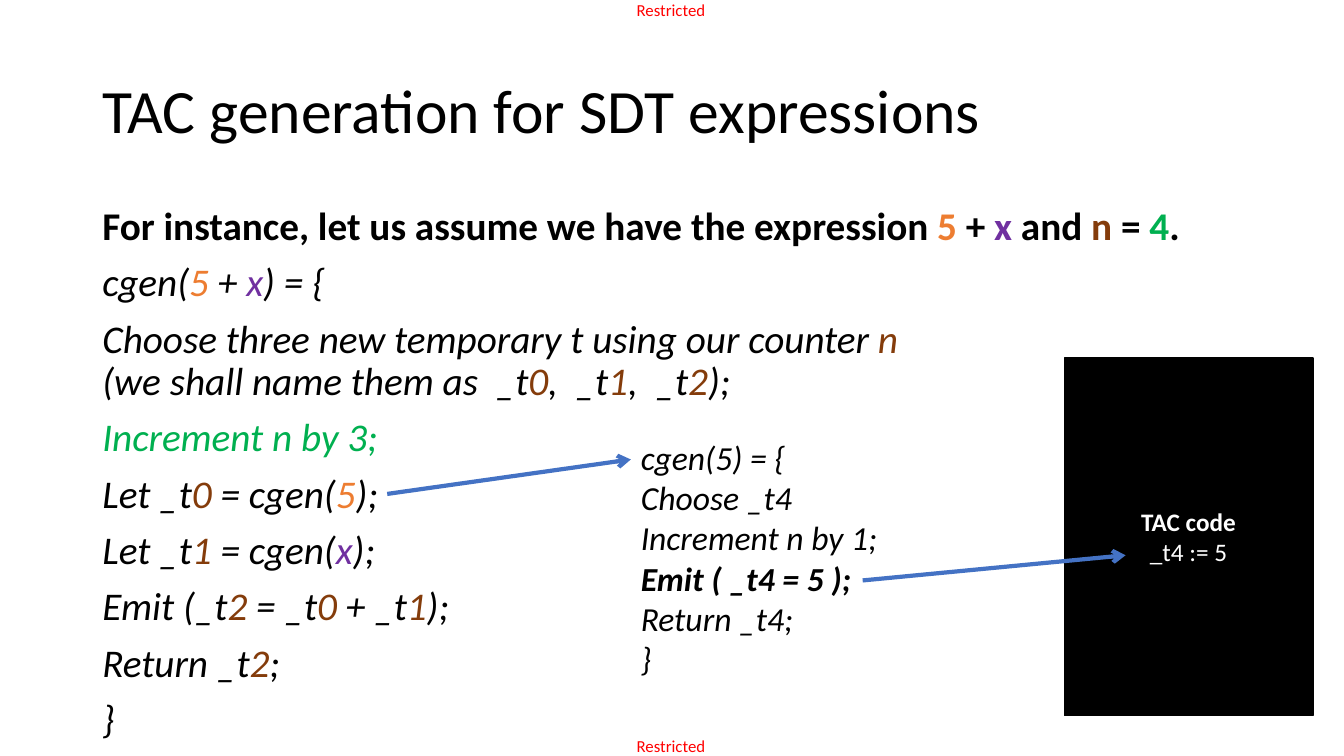
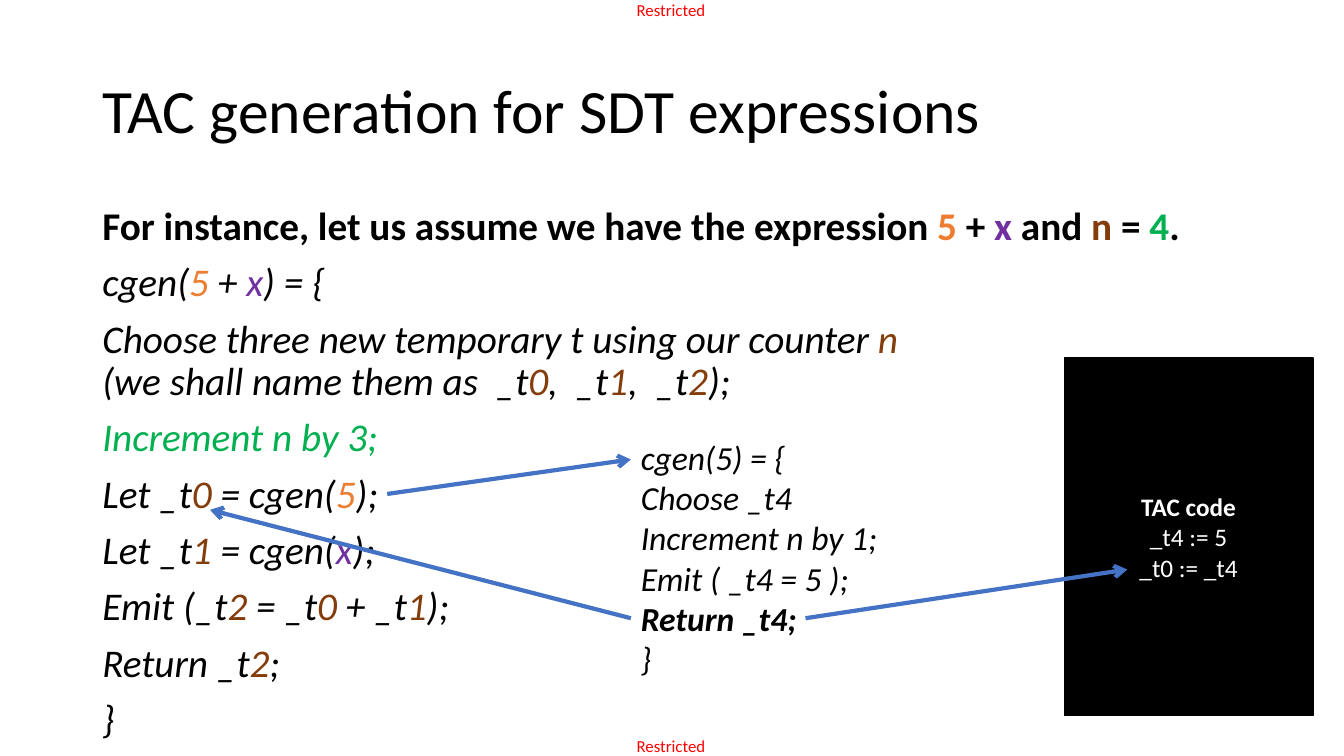
from lxml.etree import SubElement
from pptx import Presentation
from pptx.dml.color import RGBColor
from pptx.enum.shapes import MSO_CONNECTOR, MSO_SHAPE
from pptx.enum.text import MSO_ANCHOR, PP_ALIGN
from pptx.oxml.ns import qn
from pptx.util import Inches, Pt

BLACK = RGBColor(0x00, 0x00, 0x00)
WHITE = RGBColor(0xFF, 0xFF, 0xFF)
RED = RGBColor(0xFF, 0x00, 0x00)
BLUE = RGBColor(0x44, 0x72, 0xC4)
ORANGE = RGBColor(0xED, 0x7D, 0x31)
PURPLE = RGBColor(0x70, 0x30, 0xA0)
BROWN = RGBColor(0x84, 0x3C, 0x0B)
GREEN = RGBColor(0x00, 0xB0, 0x50)

FONT = "Calibri"
COLS, ROWS = 160, 90
WIDTH, HEIGHT = Inches(13.33), Inches(7.5)

TITLE = "TAC generation for SDT expressions"
# Text between bars is coloured: by this table, else brown.
HUES = {"5": ORANGE, "x": PURPLE, "4": GREEN, "Increment n by 3;": GREEN}
LEAD = "For instance, let us assume we have the expression |5| + |x| and |n| = |4|."
BODY = [
    "cgen(|5| + |x|) = {",
    "Choose three new temporary t using our counter |n|\n"
    "(we shall name them as  _t|0|,  _t|1|,  _t|2|);",
    "|Increment n by 3;|",
    "Let _t|0| = cgen(|5|);",
    "Let _t|1| = cgen(|x|);",
    "Emit (_t|2| = _t|0| + _t|1|);",
    "Return _t|2|;",
    "}",
]
CALL = ["cgen(5) = {", "Choose _t4", "Increment n by 1;",
        "Emit ( _t4 = 5 );", "Return _t4;", "}"]
ENTER = (46.1, 58.8, 75.1, 54.7)

# Active line of the call, emitted code, arrows
STEPS = [
    ("Emit ( _t4 = 5 );", ["_t4 := 5"],
     [(102.7, 69.1, 134, 66.1)]),
    ("Return _t4;", ["_t4 := 5", "_t0 := _t4"],
     [(75.1, 73.6, 25, 60.7), (95.9, 73.6, 134.2, 67.8)]),
]


class Deck:
    """Style and current slide; lengths are columns and rows of a grid."""

    def __init__(self):
        self.file = Presentation()
        self.file.slide_width, self.file.slide_height = WIDTH, HEIGHT

    def grid(self, *cells):
        """Turn column, row, column, row ... into lengths."""
        units = (WIDTH / COLS, HEIGHT / ROWS)
        return [round(cell * units[i % 2]) for i, cell in enumerate(cells)]

    def start(self):
        self.slide = self.file.slides.add_slide(self.file.slide_layouts[6])
        for row in (0, ROWS - 2.4):
            mark = self.text((75.8, row, 8.8, 2.4), ["Restricted"], 12, RED)
            mark.margin_left = mark.margin_right = 0
            mark.margin_top = mark.margin_bottom = 0
            mark.word_wrap = False
        title = self.text((11, 4.8, 138, 17.4), [TITLE], 44, space=0.9)
        title.vertical_anchor = MSO_ANCHOR.MIDDLE

    def text(self, area, lines, size, color=BLACK, **style):
        frame = self.slide.shapes.add_textbox(*self.grid(*area)).text_frame
        frame.word_wrap = True
        self.fill(frame, lines, size, color, **style)
        return frame

    def fill(self, frame, lines, size, color, bold=None, slant=(),
             space=1, gap=0, align=PP_ALIGN.LEFT):
        """Write lines; bold is one line, slant holds the italic lines."""
        for i, line in enumerate(lines):
            para = frame.add_paragraph() if i else frame.paragraphs[0]
            para.alignment, para.line_spacing = align, space
            para.space_before = Pt(gap if i else 0)
            font = para.font
            font.name, font.size, font.color.rgb = FONT, Pt(size), color
            font.bold, font.italic = line == bold, line in slant
            self.runs(para, line)

    def runs(self, para, line):
        for i, row in enumerate(line.split("\n")):
            if i:
                para.add_line_break()
            for j, part in enumerate(row.split("|")):
                if part:
                    run = para.add_run()
                    run.text = part
                    if j % 2:
                        run.font.color.rgb = HUES.get(part, BROWN)

    def panel(self, area, lines):
        box = self.slide.shapes.add_shape(MSO_SHAPE.RECTANGLE, *self.grid(*area))
        box.shadow.inherit = False
        box.fill.solid()
        box.fill.fore_color.rgb = box.line.color.rgb = BLACK
        box.line.width = Pt(1)
        box.text_frame.vertical_anchor = MSO_ANCHOR.MIDDLE
        self.fill(box.text_frame, lines, 18, WHITE, bold=lines[0],
                  align=PP_ALIGN.CENTER)

    def arrow(self, ends):
        link = self.slide.shapes.add_connector(
            MSO_CONNECTOR.STRAIGHT, *self.grid(*ends))
        link.line.color.rgb, link.line.width = BLUE, Pt(3)
        SubElement(link.line._get_or_add_ln(), qn("a:tailEnd"), type="arrow")
        SubElement(link._element.spPr, qn("a:effectLst"))


def main():
    deck = Deck()
    for active, code, arrows in STEPS:
        deck.start()
        deck.text((11, 24, 138, 66), [LEAD] + BODY, 28, bold=LEAD,
                  slant=BODY, space=0.9, gap=10)
        deck.text((75.1, 51.4, 82.9, 30.2), CALL, 24, bold=active, slant=CALL)
        deck.panel((126.7, 42.6, 29.6, 42.6), ["TAC code"] + code)
        for ends in [ENTER] + arrows:
            deck.arrow(ends)
    deck.file.save("out.pptx")


if __name__ == "__main__":
    main()
